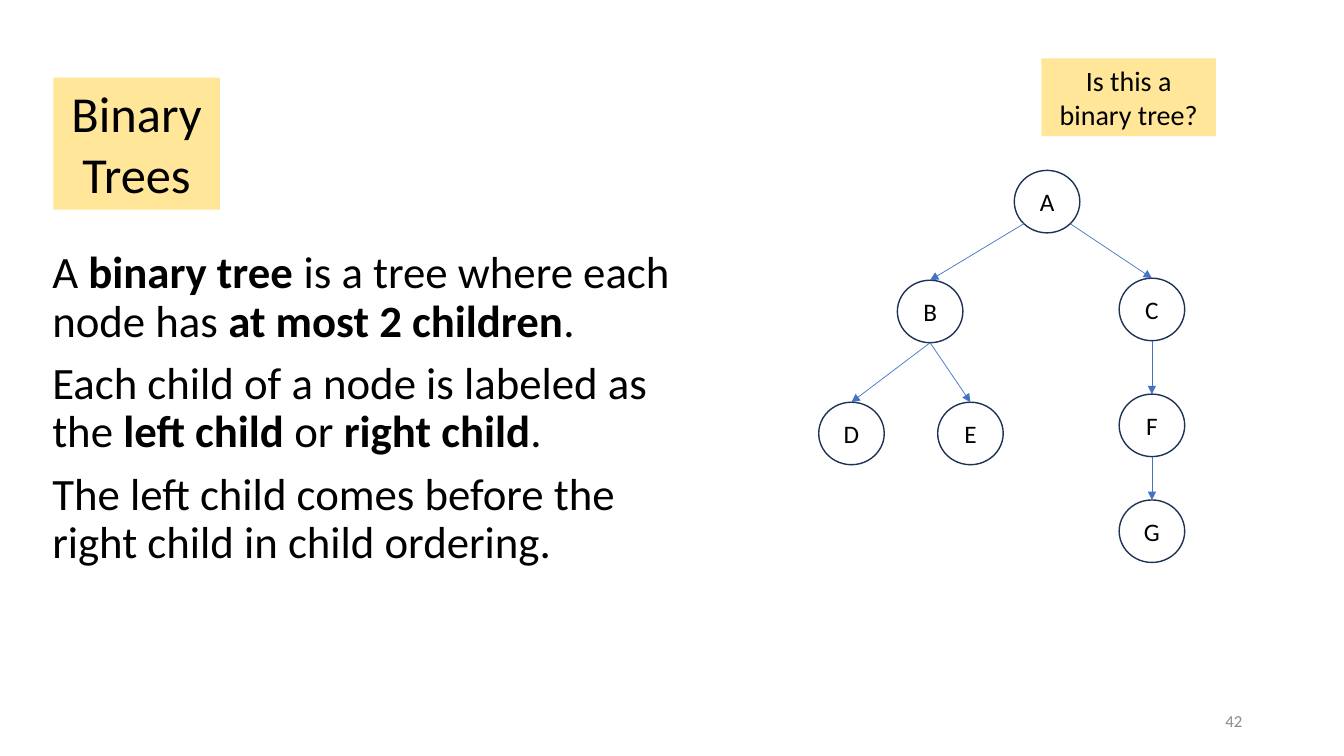
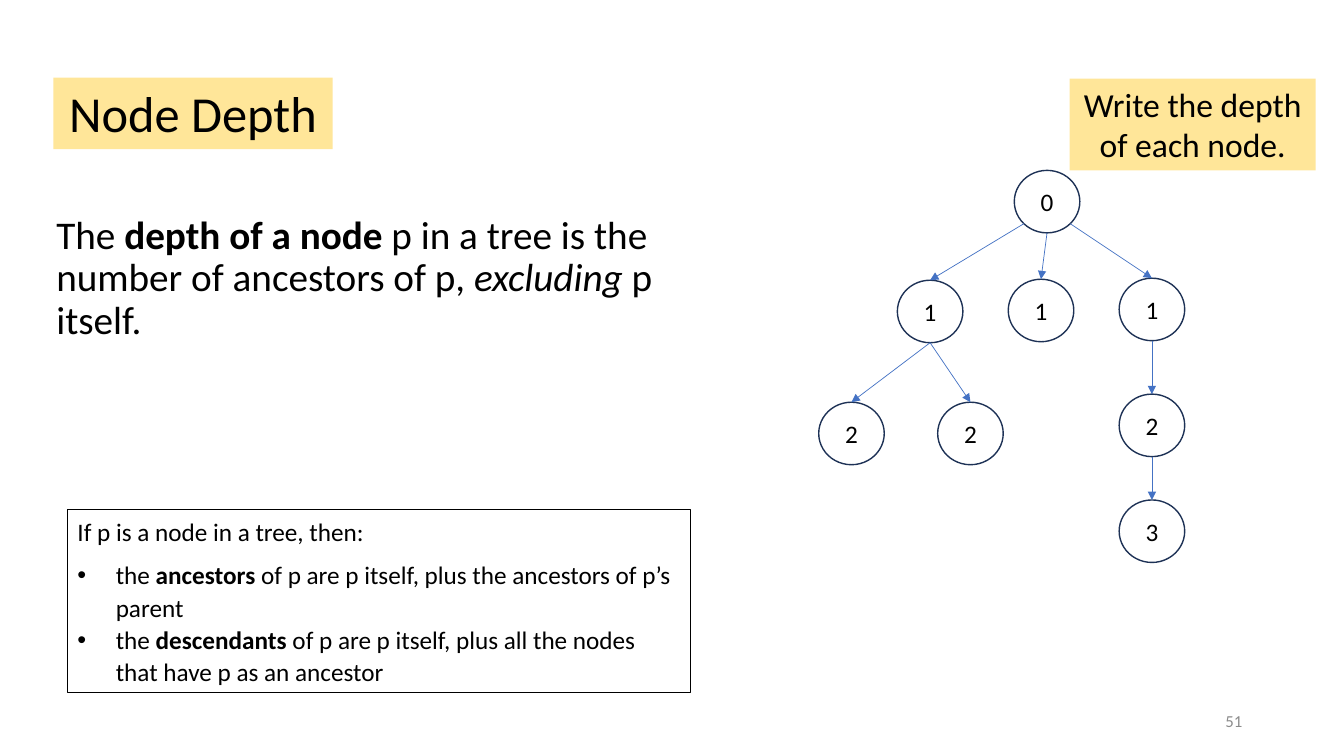
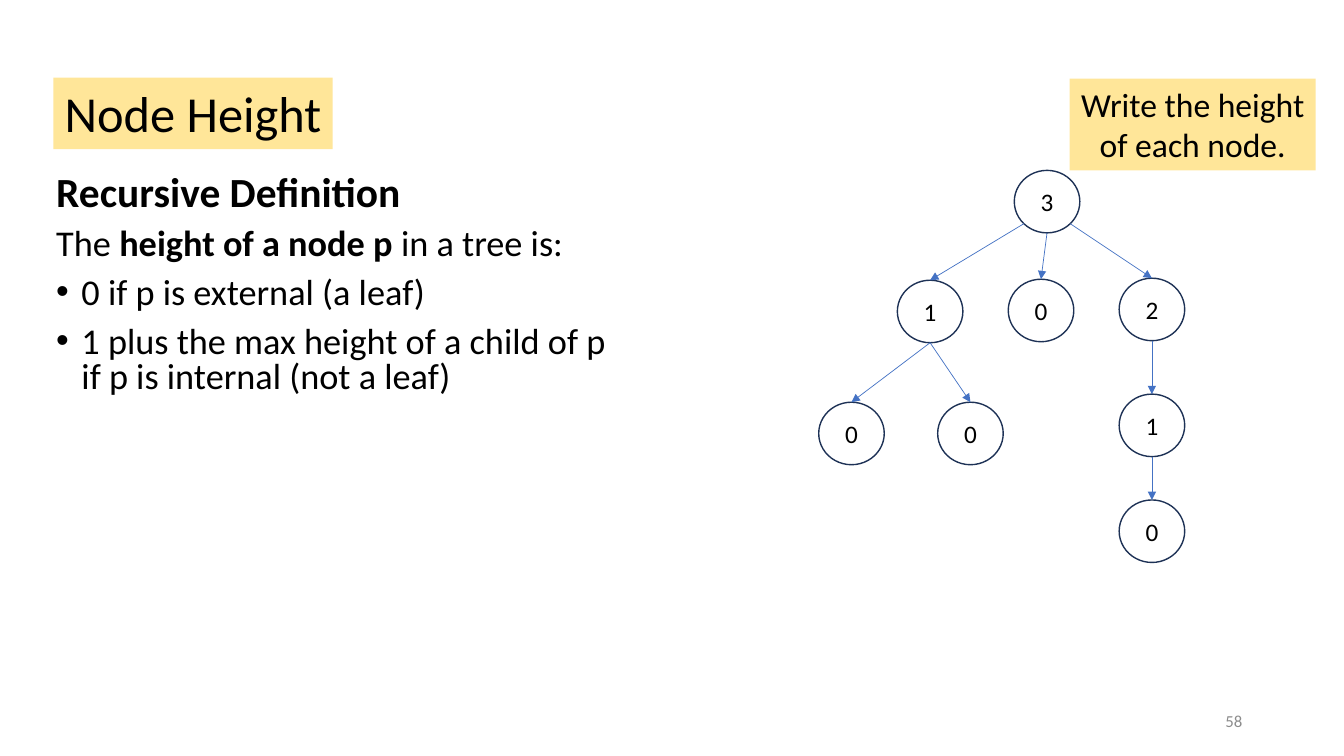
"""Build three lecture slides on binary trees, node depth and node height."""
import math

import pptx
import pptx.dml.color
import pptx.enum.shapes
import pptx.enum.text
import pptx.oxml.ns
import pptx.util
from lxml import etree

Inches = pptx.util.Inches
Pt = pptx.util.Pt
SHAPE = pptx.enum.shapes.MSO_SHAPE
ALIGN = pptx.enum.text.PP_ALIGN
ANCHOR = pptx.enum.text.MSO_ANCHOR
qn = pptx.oxml.ns.qn

COLORS = {
    "text": "000000",
    "band": "FFE699",
    "node": "1E3256",
    "arrow": "4472C4",
    "number": "8C8C8C",
}
FONT = "Calibri"
BOLD = {"bold": True}
ITALIC = {"italic": True}
CENTER = {"alignment": ALIGN.CENTER}
BODY = {"line_spacing": 0.9, "space_before": Pt(10)}

NODE_W, NODE_H = 0.65, 0.62
NODES = {
    "root": (10.06, 1.69),
    "left": (8.9, 2.78),
    "middle": (10, 2.77),
    "right": (11.1, 2.76),
    "left.1": (8.12, 3.99),
    "left.2": (9.3, 3.99),
    "right.1": (11.1, 3.91),
    "right.1.1": (11.1, 4.96),
}
EDGES = [
    ("root", "left", -45),
    ("root", "middle", 0),
    ("root", "right", 45),
    ("left", "left.1", 0),
    ("left", "left.2", 0),
    ("right", "right.1", 0),
    ("right.1", "right.1.1", 0),
]


class Deck:
    def __init__(self):
        self.prs = pptx.Presentation()
        self.prs.slide_width = Inches(13.33)
        self.prs.slide_height = Inches(7.5)
        self.s = None

    def color(self, name):
        return pptx.dml.color.RGBColor.from_string(COLORS[name])

    def slide(self):
        self.s = self.prs.slides.add_slide(self.prs.slide_layouts[6])

    def set_text(self, sp, paragraphs, size, color="text", **frame):
        tf = sp.text_frame
        for key, value in {"word_wrap": True, "vertical_anchor": ANCHOR.TOP, **frame}.items():
            setattr(tf, key, value)
        for i, (pieces, fmt, indent) in enumerate(paragraphs):
            p = tf.paragraphs[0] if i == 0 else tf.add_paragraph()
            for key, value in {"alignment": ALIGN.LEFT, **fmt}.items():
                setattr(p, key, value)
            if indent:
                self.bullet(p, indent)
            for piece in pieces:
                if piece == "\n":
                    p.add_line_break()
                    continue
                text, style = (piece, {}) if isinstance(piece, str) else piece
                r = p.add_run()
                r.text = text
                r.font.color.rgb = self.color(color)
                for key, value in {"name": FONT, "size": Pt(size), **style}.items():
                    setattr(r.font, key, value)

    def bullet(self, p, indent):
        pPr = p._p.get_or_add_pPr()
        pPr.set("marL", str(Inches(indent)))
        pPr.set("indent", str(-Inches(indent)))
        etree.SubElement(pPr, qn("a:buFont")).set("typeface", "Arial")
        etree.SubElement(pPr, qn("a:buChar")).set("char", "•")

    def text(self, at, paragraphs, size, **options):
        sp = self.s.shapes.add_textbox(*map(Inches, at))
        self.set_text(sp, paragraphs, size, **options)

    def shape(self, kind, at, fill=None, line=None, width=1):
        sp = self.s.shapes.add_shape(kind, *map(Inches, at))
        sp.shadow.inherit = False
        if fill:
            sp.fill.solid()
            sp.fill.fore_color.rgb = self.color(fill)
        else:
            sp.fill.background()
        if line:
            sp.line.color.rgb = self.color(line)
            sp.line.width = Pt(width)
        else:
            sp.line.fill.background()
        return sp

    def band(self, at, text, size):
        sp = self.shape(SHAPE.RECTANGLE, at, fill="band")
        self.set_text(sp, [([text], CENTER, 0)], size)

    def title(self, text, width=2.77, height=0.71):
        self.band((0.53, 0.77, width, height), text, 36)

    def task(self, text, at=(10.61, 0.78, 2.44, 0.91), size=24):
        self.band(at, text, size)

    def note(self, at, paragraphs, size):
        sp = self.shape(SHAPE.RECTANGLE, at, line="text", width=0.75)
        self.set_text(sp, paragraphs, size)

    def node(self, name, label):
        sp = self.shape(SHAPE.OVAL, (*NODES[name], NODE_W, NODE_H), line="node")
        self.set_text(sp, [([label], CENTER, 0)], 18, vertical_anchor=ANCHOR.MIDDLE,
                      margin_left=0, margin_right=0, margin_top=0, margin_bottom=0)
        return sp

    def arrow(self, parent, child, angle):
        turn = math.radians(angle)
        x = parent.left + int(parent.width * (1 + math.sin(turn)) / 2)
        y = parent.top + int(parent.height * (1 + math.cos(turn)) / 2)
        kind = pptx.enum.shapes.MSO_CONNECTOR.STRAIGHT
        cx = self.s.shapes.add_connector(kind, x, y, child.left, child.top)
        cx.end_connect(child, 0)
        cx.line.color.rgb = self.color("arrow")
        cx.line.width = Pt(0.5)
        spPr = cx._element.spPr
        etree.SubElement(spPr.find(qn("a:ln")), qn("a:tailEnd")).set("type", "triangle")
        etree.SubElement(spPr, qn("a:effectLst"))

    def tree(self, **rows):
        names = {
            "root": ["root"],
            "children": ["left", "middle", "right"],
            "grandchildren": ["left.1", "left.2", "right.1"],
            "last": ["right.1.1"],
        }
        nodes = {
            name: self.node(name, label)
            for row, labels in rows.items()
            for name, label in zip(names[row], labels)
            if label
        }
        for parent, child, angle in EDGES:
            if child in nodes:
                self.arrow(nodes[parent], nodes[child], angle)

    def number(self, value):
        self.text((9.42, 6.95, 3, 0.4), [([str(value)], {"alignment": ALIGN.RIGHT}, 0)],
                  12, color="number", vertical_anchor=ANCHOR.MIDDLE)


def binary_trees(deck):
    deck.slide()
    deck.tree(root="A", children=["B", None, "C"], grandchildren="DEF", last="G")
    deck.title("Binary Trees", 1.65, 1.31)
    deck.task("Is this a binary tree?", (10.33, 0.58, 1.73, 0.77), 20)
    deck.number(42)
    deck.text((0.42, 2.43, 6.59, 3.79), [
        (["A ", ("binary tree ", BOLD), "is a tree where each node has ",
          ("at most 2 children", BOLD), "."], BODY, 0),
        (["Each child of a node is labeled as the ", ("left child ", BOLD), "or ",
          ("right child", BOLD), "."], BODY, 0),
        (["The left child comes before the right child in child ordering."], BODY, 0),
    ], 32)


def node_depth(deck):
    tight = {"line_spacing": 1.07}
    spaced = {**tight, "space_after": Pt(8)}
    deck.slide()
    deck.text((0.46, 2.09, 6.15, 1.68), [
        (["The ", ("depth of a node ", BOLD), "p in a tree is the number of ancestors of p, ",
          ("excluding", ITALIC), " p itself."], BODY, 0),
    ], 28)
    deck.tree(root="0", children="111", grandchildren="222", last="3")
    deck.note((0.67, 5.05, 6.18, 1.82), [
        (["If p is a node in a tree, then:"], spaced, 0),
        (["the ", ("ancestors", BOLD),
          " of p are p itself, plus the ancestors of p’s parent"], tight, 0.38),
        (["the ", ("descendants", BOLD),
          " of p are p itself, plus all the nodes that have p as an ancestor"], spaced, 0.38),
    ], 18)
    deck.task("Write the depth of each node.")
    deck.title("Node Depth")
    deck.number(51)


def node_height(deck):
    body = {**BODY, "line_spacing": 0.8}
    deck.slide()
    deck.text((0.46, 1.69, 7.26, 2.42), [
        ([("Recursive Definition", {**BOLD, "size": Pt(29.6)})], body, 0),
        (["The ", ("height of a node p ", BOLD), "in a tree is:"], body, 0),
        (["0 if p is external (a leaf)"], body, 0.25),
        (["1 plus the max height of a child of p", "\n",
          "if p is internal (not a leaf)"], body, 0.25),
    ], 25.9)
    deck.tree(root="3", children="102", grandchildren="001", last="0")
    deck.title("Node Height")
    deck.task("Write the height of each node.")
    deck.number(58)


def main():
    deck = Deck()
    for build in (binary_trees, node_depth, node_height):
        build(deck)
    deck.prs.save("out.pptx")


if __name__ == "__main__":
    main()
